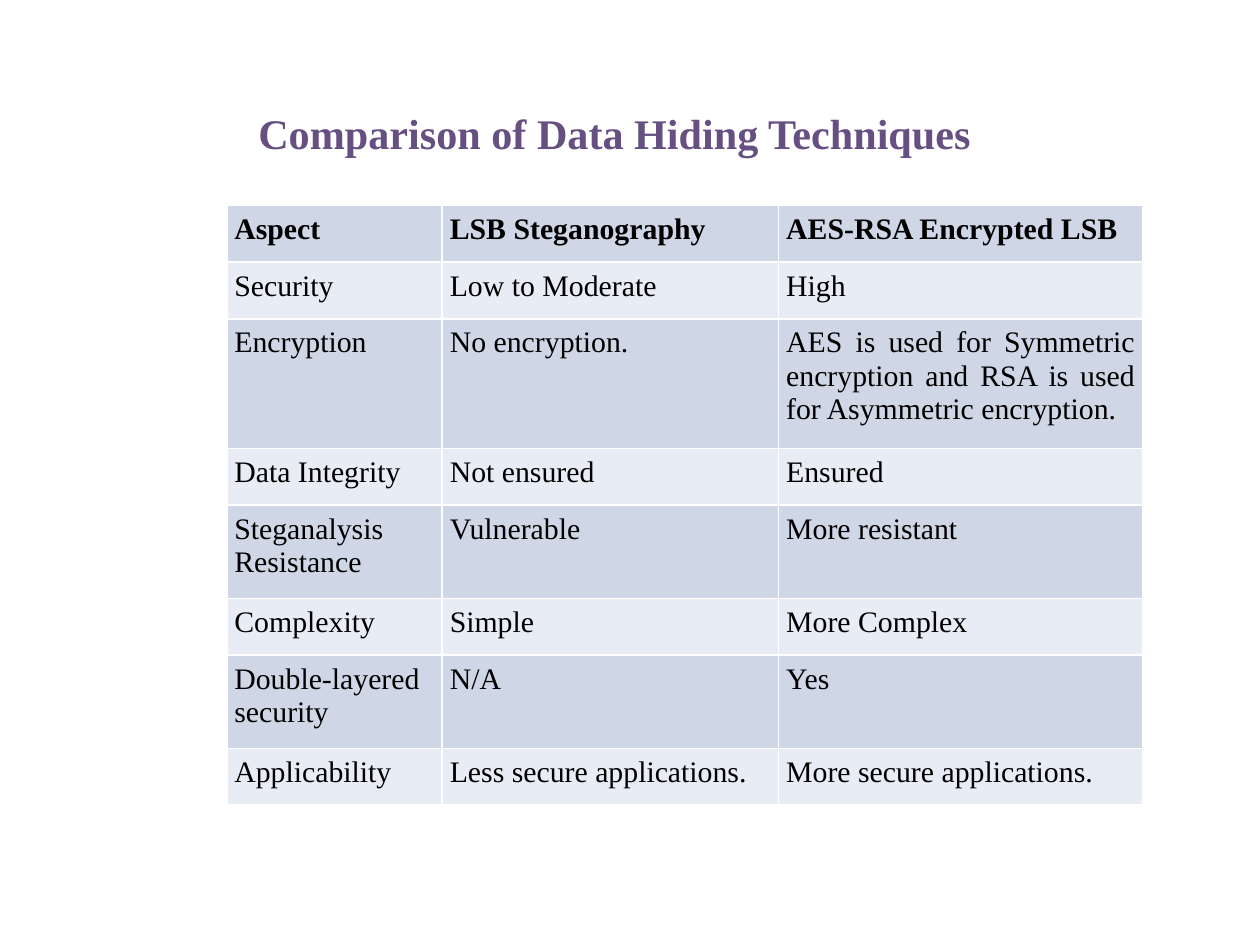
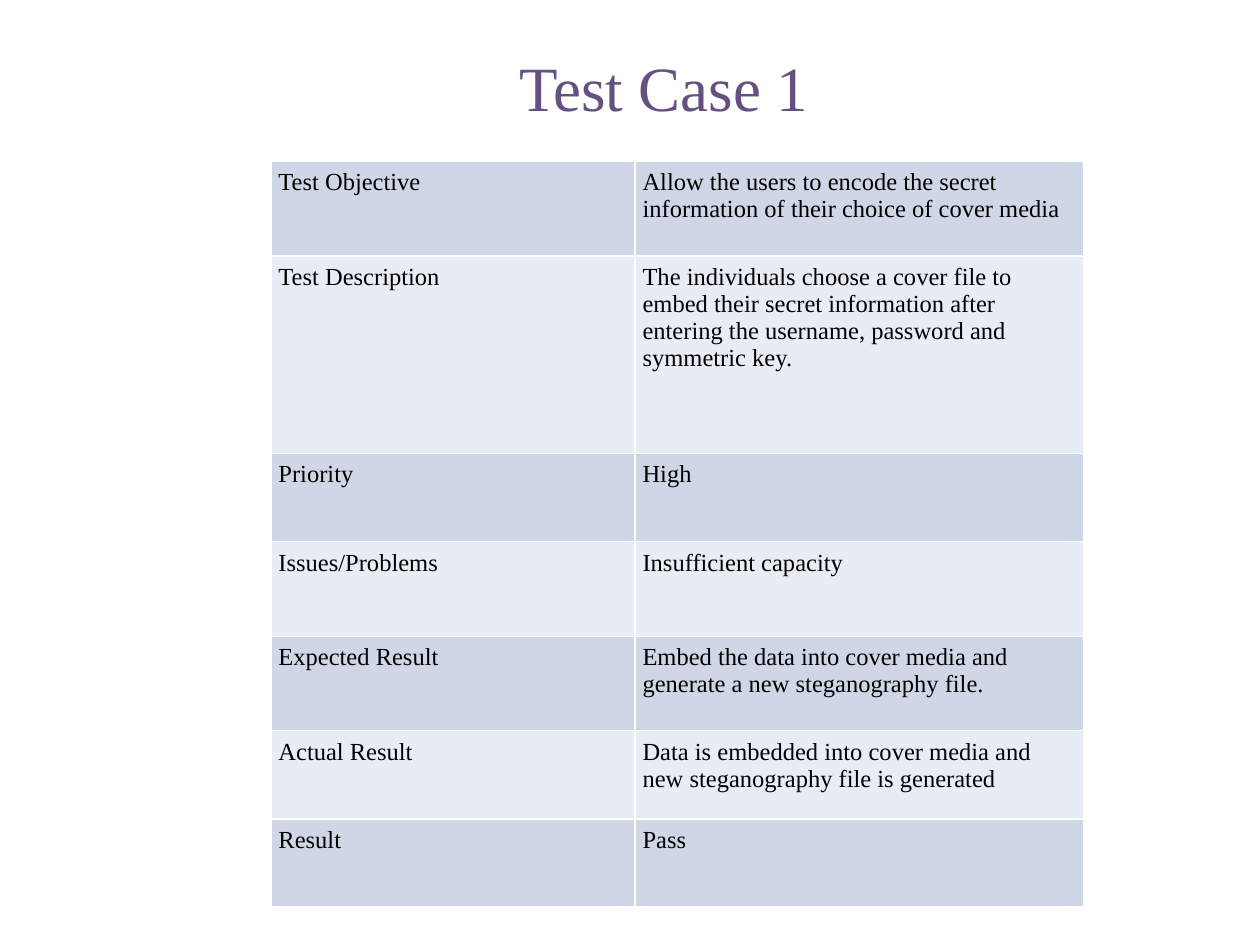
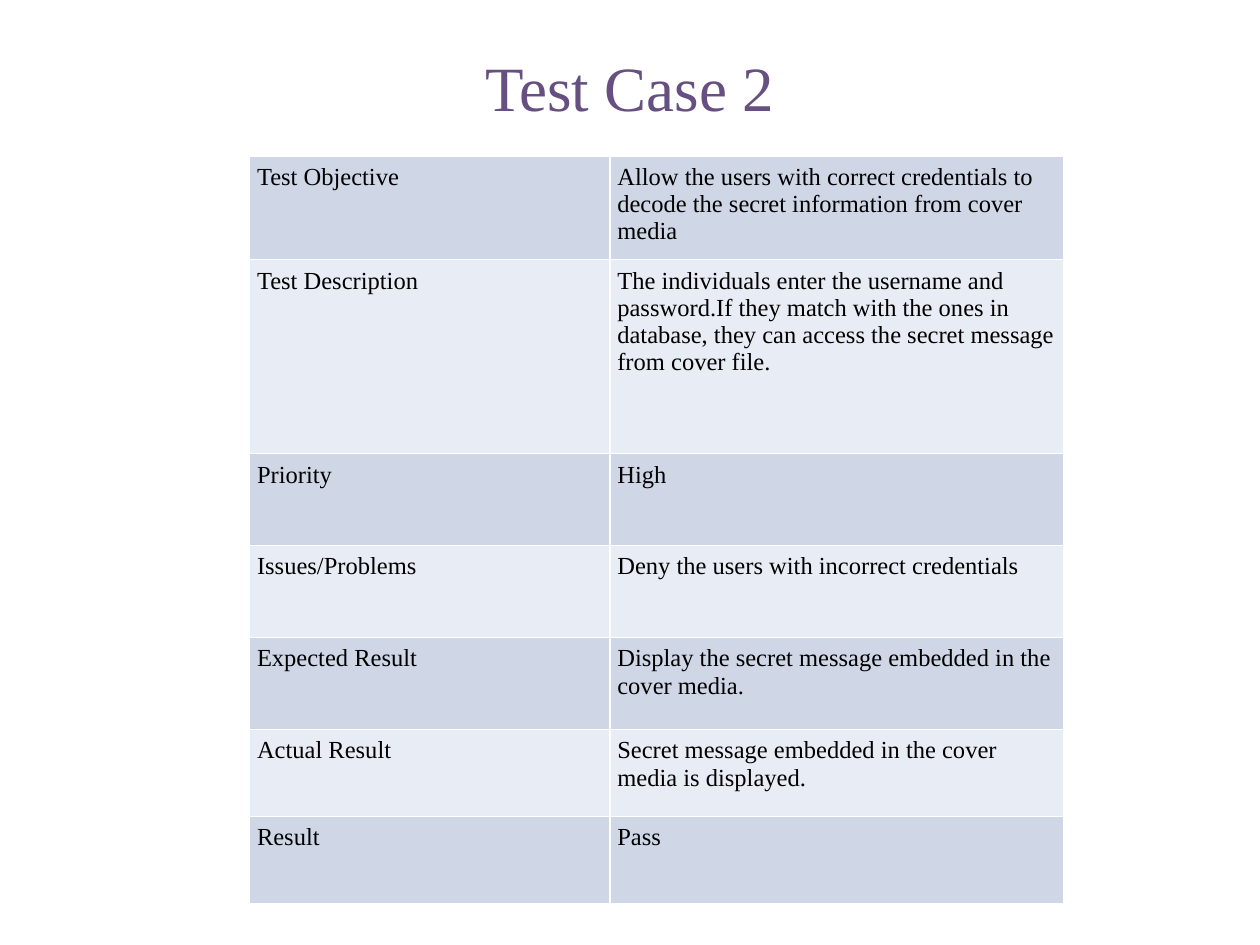
from dataclasses import dataclass

from lxml.etree import SubElement
from pptx import Presentation
from pptx.dml.color import RGBColor
from pptx.enum.text import MSO_ANCHOR, PP_ALIGN
from pptx.oxml.ns import qn
from pptx.util import Inches, Pt

COLORS = {
    "title": "665082",
    "text": "000000",
    "dark_band": "CFD7E7",
    "light_band": "E8ECF4",
    "border": "FFFFFF",
}
FONT = "Times New Roman"
TITLE_WIDTH, TITLE_HEIGHT, TITLE_INSET = 9, 1.25, 0.05
CELL_INSET = Inches(0.06)
BORDER_WIDTH = Pt(1)


@dataclass(frozen=True)
class Title:
    text: str
    left: float
    top: float = 0.06
    size: float = 36
    bold: bool = False
    bottom_inset: float = TITLE_INSET


@dataclass(frozen=True)
class Grid:
    left: float
    top: float
    columns: list[float]
    heights: list[float]
    rows: list[tuple[str, ...]]
    size: float = 14
    bold_header: bool = False
    align: PP_ALIGN = PP_ALIGN.LEFT
    left_aligned: tuple[str, ...] = ()


TEST_LABELS = (
    "Test Objective", "Test Description", "Priority", "Issues/Problems",
    "Expected Result", "Actual Result", "Result",
)


def test_rows(*values: str) -> list[tuple[str, ...]]:
    return list(zip(TEST_LABELS, values))


SLIDES = [
    (
        Title("Comparison of Data Hiding Techniques", 0.38, 0.61, 24.1,
              bold=True, bottom_inset=0.42),
        Grid(
            1.8, 1.63, [1.71, 2.67, 2.89],
            [0.45, 0.45, 1.03, 0.45, 0.74, 0.45, 0.74, 0.45],
            [
                ("Aspect", "LSB Steganography", "AES-RSA Encrypted LSB"),
                ("Security", "Low to Moderate", "High"),
                ("Encryption", "No encryption.",
                 "AES is used for Symmetric encryption and RSA is used "
                 "for Asymmetric encryption."),
                ("Data Integrity", "Not ensured", "Ensured"),
                ("Steganalysis Resistance", "Vulnerable", "More resistant"),
                ("Complexity", "Simple", "More Complex"),
                ("Double-layered security", "N/A", "Yes"),
                ("Applicability", "Less secure applications.",
                 "More secure applications."),
            ],
            size=17, bold_header=True, align=PP_ALIGN.JUSTIFY,
            left_aligned=("Steganalysis Resistance", "Double-layered security"),
        ),
    ),
    (
        Title("Test Case 1", 0.77),
        Grid(
            2.15, 1.28, [2.89, 3.56], [0.75, 1.57, 0.7, 0.75, 0.75, 0.7, 0.7],
            test_rows(
                "Allow the users to encode the secret information of their "
                "choice of cover media",
                "The individuals choose a cover file to embed their secret "
                "information after entering the username, password and "
                "symmetric key.",
                "High",
                "Insufficient capacity",
                "Embed the data into cover media and generate a new "
                "steganography file.",
                "Data is embedded into cover media and new steganography "
                "file is generated",
                "Pass",
            ),
        ),
    ),
    (
        Title("Test Case 2", 0.5),
        Grid(
            1.98, 1.24, [2.86, 3.6], [0.73, 1.54, 0.73, 0.73, 0.73, 0.69, 0.69],
            test_rows(
                "Allow the users with correct credentials to decode the "
                "secret information from cover media",
                "The individuals enter the username and password.If they "
                "match with the ones in database, they can access the secret "
                "message from cover file.",
                "High",
                "Deny the users with incorrect credentials",
                "Display the secret message embedded in the cover media.",
                "Secret message embedded in the cover media is displayed.",
                "Pass",
            ),
        ),
    ),
]


def rgb(name: str) -> RGBColor:
    return RGBColor.from_string(COLORS[name])


def style_paragraph(paragraph, size: float, color: str, bold: bool, align: PP_ALIGN) -> None:
    paragraph.alignment = align
    font = paragraph.font
    font.name, font.size, font.bold = FONT, Pt(size), bold
    font.color.rgb = rgb(color)


def add_title(slide, title: Title) -> None:
    box = slide.shapes.add_textbox(
        Inches(title.left), Inches(title.top), Inches(TITLE_WIDTH), Inches(TITLE_HEIGHT))
    frame = box.text_frame
    frame.word_wrap = True
    frame.vertical_anchor = MSO_ANCHOR.MIDDLE
    frame.margin_left = frame.margin_right = frame.margin_top = Inches(TITLE_INSET)
    frame.margin_bottom = Inches(title.bottom_inset)
    frame.text = title.text
    style_paragraph(frame.paragraphs[0], title.size, "title", title.bold, PP_ALIGN.CENTER)


def add_borders(cell) -> None:
    properties = cell._tc.get_or_add_tcPr()
    for position, side in enumerate(("a:lnL", "a:lnR", "a:lnT", "a:lnB")):
        line = SubElement(properties, qn(side), w=str(BORDER_WIDTH))
        fill = SubElement(line, qn("a:solidFill"))
        SubElement(fill, qn("a:srgbClr"), val=COLORS["border"])
        # Borders come before the cell fill
        properties.insert(position, line)


def add_grid(slide, grid: Grid) -> None:
    table = slide.shapes.add_table(
        len(grid.rows), len(grid.columns), Inches(grid.left), Inches(grid.top),
        Inches(sum(grid.columns)), Inches(sum(grid.heights))).table
    table.first_row = table.horz_banding = False
    for column, width in zip(table.columns, grid.columns):
        column.width = Inches(width)
    for index, (row, height, texts) in enumerate(zip(table.rows, grid.heights, grid.rows)):
        row.height = Inches(height)
        for cell, text in zip(row.cells, texts):
            cell.text = text
            cell.margin_left = cell.margin_right = CELL_INSET
            cell.margin_top = cell.margin_bottom = CELL_INSET
            cell.fill.solid()
            cell.fill.fore_color.rgb = rgb("light_band" if index % 2 else "dark_band")
            add_borders(cell)
            align = PP_ALIGN.LEFT if text in grid.left_aligned else grid.align
            style_paragraph(cell.text_frame.paragraphs[0], grid.size, "text",
                            grid.bold_header and index == 0, align)


def main() -> None:
    presentation = Presentation()
    presentation.slide_width, presentation.slide_height = Inches(10), Inches(7.5)
    blank_layout = presentation.slide_layouts[6]
    for title, grid in SLIDES:
        slide = presentation.slides.add_slide(blank_layout)
        add_title(slide, title)
        add_grid(slide, grid)
    presentation.save("out.pptx")


if __name__ == "__main__":
    main()
